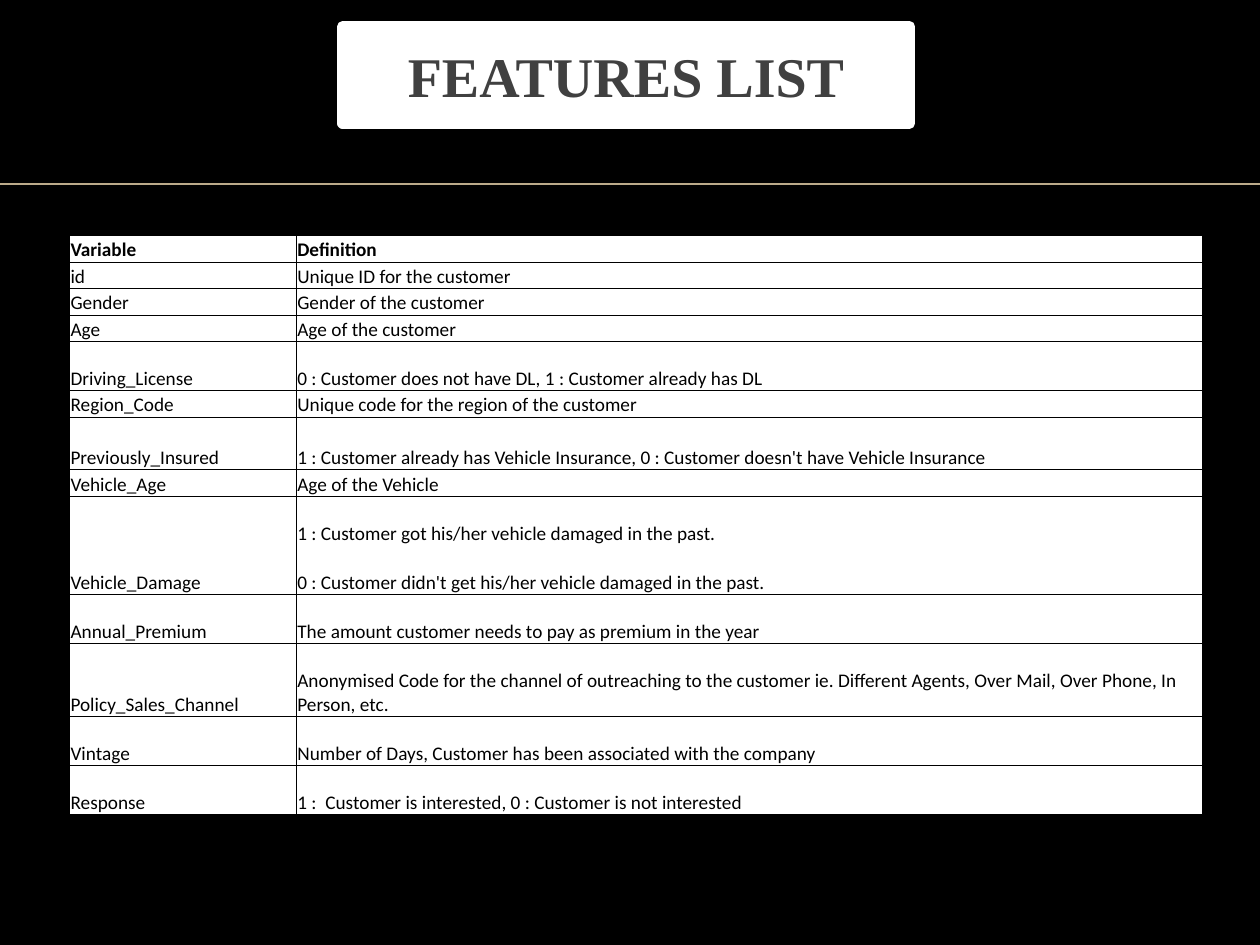
from dataclasses import dataclass

from lxml import etree
from pptx import Presentation
from pptx.dml.color import RGBColor
from pptx.enum.shapes import MSO_CONNECTOR
from pptx.enum.text import MSO_ANCHOR, PP_ALIGN
from pptx.oxml.ns import qn
from pptx.util import Inches, Pt

STRAIGHT = MSO_CONNECTOR.STRAIGHT
MIDDLE, BOTTOM = MSO_ANCHOR.MIDDLE, MSO_ANCHOR.BOTTOM
CENTER = PP_ALIGN.CENTER

COLORS = {"black": "000000", "white": "FFFFFF", "gold": "BBAA8A", "gray": "404040"}
SHORT, TALL = 0.21, 0.39


@dataclass
class Feature:
    name: str
    text: str
    height: float = SHORT
    bold: bool = False
    sides: str = "LRTB"


FEATURES = [
    Feature("Variable", "Definition", bold=True),
    Feature("id", "Unique ID for the customer"),
    Feature("Gender", "Gender of the customer"),
    Feature("Age", "Age of the customer"),
    Feature("Driving_License", "0 : Customer does not have DL, 1 : Customer already has DL", TALL),
    Feature("Region_Code", "Unique code for the region of the customer"),
    Feature("Previously_Insured",
            "1 : Customer already has Vehicle Insurance, 0 : Customer doesn't have Vehicle Insurance", 0.42),
    Feature("Vehicle_Age", "Age of the Vehicle "),
    Feature("Vehicle_Damage", "1 : Customer got his/her vehicle damaged in the past.", TALL, sides="LRT"),
    Feature("", "0 : Customer didn't get his/her vehicle damaged in the past.", TALL, sides="LRB"),
    Feature("Annual_Premium", "The amount customer needs to pay as premium in the year", TALL),
    Feature("Policy_Sales_Channel",
            "Anonymised Code for the channel of outreaching to the customer ie. "
            "Different Agents, Over Mail, Over Phone, In Person, etc.", 0.58),
    Feature("Vintage", "Number of Days, Customer has been associated with the company", TALL),
    Feature("Response", "1 :  Customer is interested, 0 : Customer is not interested", TALL),
]


def color(name: str) -> RGBColor:
    return RGBColor.from_string(COLORS[name])


def paint(fill, name: str) -> None:
    fill.solid()
    fill.fore_color.rgb = color(name)


def style(para, face: str, size: float, tone: str, bold: bool) -> None:
    for run in para.runs:
        font = run.font
        font.name, font.size, font.bold = face, Pt(size), bold
        font.color.rgb = color(tone)


def add_rule(slide) -> None:
    rule = slide.shapes.add_connector(STRAIGHT, 0, Inches(1.46), Inches(10), Inches(1.46))
    rule.line.color.rgb = color("gold")
    rule.line.width = Pt(1)
    etree.SubElement(rule._element.spPr, qn("a:effectLst"))


def set_title(title, text: str) -> None:
    title.left, title.top = Inches(2.72), Inches(0.21)
    title.width, title.height = Inches(4.5), Inches(0.77)
    paint(title.fill, "white")
    title.line.color.rgb = color("white")
    title.line.width = Pt(6)
    frame = title.text_frame
    frame.text = text
    frame.vertical_anchor = MIDDLE
    para = frame.paragraphs[0]
    para.alignment = CENTER
    para.space_before = Pt(4)
    style(para, "Times New Roman", 32, "gray", True)


def add_edges(cell, sides: str) -> None:
    props = cell._tc.get_or_add_tcPr()
    for side in "LRTB":
        edge = etree.SubElement(props, qn(f"a:ln{side}"), w=str(Pt(0.5)))
        if side in sides:
            fill = etree.SubElement(edge, qn("a:solidFill"))
            etree.SubElement(fill, qn("a:srgbClr"), val=COLORS["black"])
        else:
            etree.SubElement(edge, qn("a:noFill"))


def fill_cell(cell, text: str, bold: bool, sides: str) -> None:
    cell.text_frame.text = text
    cell.vertical_anchor = BOTTOM
    cell.margin_left = cell.margin_right = cell.margin_top = Inches(0.01)
    cell.margin_bottom = 0
    add_edges(cell, sides)
    paint(cell.fill, "white")
    style(cell.text_frame.paragraphs[0], "Calibri", 11, "black", bold)


def add_features(slide, items: list[Feature]) -> None:
    total = sum(item.height for item in items)
    frame = slide.shapes.add_table(len(items), 2, Inches(0.55), Inches(1.87),
                                   Inches(8.98), Inches(total))
    table = frame.table
    table.first_row = table.horz_banding = False
    for col, width in zip(table.columns, (1.8, 7.19)):
        col.width = Inches(width)
    for row, item in enumerate(items):
        table.rows[row].height = Inches(item.height)
        fill_cell(table.cell(row, 0), item.name, item.bold, "LRTB")
        fill_cell(table.cell(row, 1), item.text, item.bold, item.sides)
        if not item.name:
            table.cell(row - 1, 0).merge(table.cell(row, 0))


def main() -> None:
    deck = Presentation()
    deck.slide_width, deck.slide_height = Inches(10), Inches(7.5)
    slide = deck.slides.add_slide(deck.slide_layouts[5])
    paint(slide.background.fill, "black")
    add_rule(slide)
    set_title(slide.shapes.title, "FEATURES LIST")
    add_features(slide, FEATURES)
    deck.save("out.pptx")


if __name__ == "__main__":
    main()
